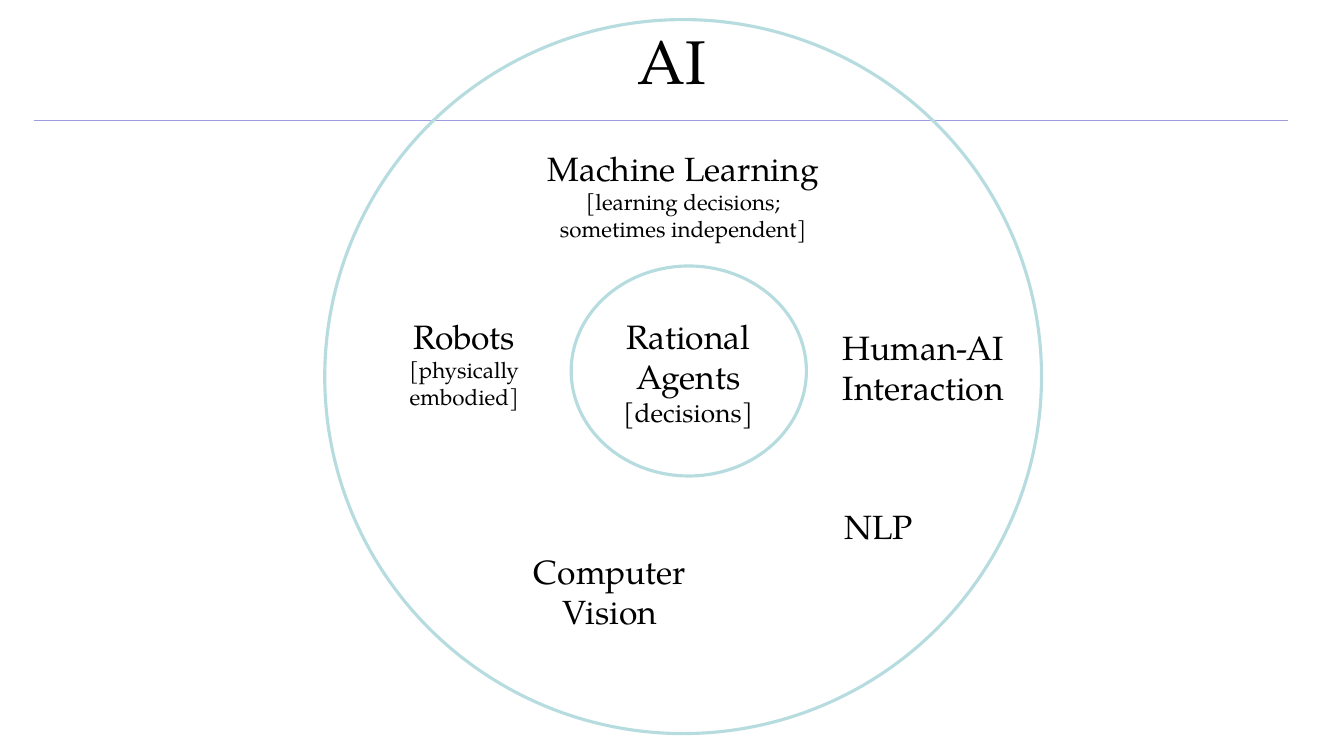
from dataclasses import dataclass

from lxml import etree
from pptx import Presentation
from pptx.dml.color import RGBColor
from pptx.enum.shapes import MSO_CONNECTOR, MSO_SHAPE
from pptx.enum.text import MSO_ANCHOR, MSO_AUTO_SIZE, PP_ALIGN
from pptx.oxml.ns import qn
from pptx.util import Inches, Pt

STRAIGHT = MSO_CONNECTOR.STRAIGHT
ELLIPSE = MSO_SHAPE.OVAL
CENTER = PP_ALIGN.CENTER
MIDDLE = MSO_ANCHOR.MIDDLE
TOP = MSO_ANCHOR.TOP
GROW = MSO_AUTO_SIZE.SHAPE_TO_FIT_TEXT
NO_AUTOFIT = MSO_AUTO_SIZE.NONE

TITLE_ONLY = 5
COLUMNS = 120
ROWS = 67.5
CELL = Inches(1 / 9)
TOPIC_WIDTH = 18.9


@dataclass(frozen=True)
class Theme:
    font: str = "TeX Gyre Pagella"
    ink: RGBColor = RGBColor(0x00, 0x00, 0x00)
    rule: RGBColor = RGBColor(0x9C, 0x9C, 0xDF)
    ring: RGBColor = RGBColor(0xB6, 0xDC, 0xDF)
    rule_width: float = 1
    ring_width: float = 2.25
    title: float = 44
    topic: float = 24
    core_note: float = 18.7
    note: float = 16


THEME = Theme()

# Column, row, width, height in grid cells.
RINGS = [
    (29, 1.75, 64, 63.75),
    (51, 23.75, 21, 18.75),
]

# Column, row, width, height in grid cells, then (text, size) per paragraph.
TOPICS = [
    (52, 27.75, TOPIC_WIDTH, 11, [
        ("Rational", THEME.topic),
        ("Agents", THEME.topic),
        ("[decisions]", THEME.core_note),
    ]),
    (32, 27.75, TOPIC_WIDTH, 9.4, [
        ("Robots", THEME.topic),
        ("[physically embodied]", THEME.note),
    ]),
    (47, 12.75, 28, 9.4, [
        ("Machine Learning", THEME.topic),
        ("[learning decisions; sometimes independent]", THEME.note),
    ]),
    (69, 44.75, TOPIC_WIDTH, 4.5, [("NLP", THEME.topic)]),
    (45, 48.75, TOPIC_WIDTH, 8.2, [("Computer Vision", THEME.topic)]),
    (73, 28.75, TOPIC_WIDTH, 8.2, [("Human-AI Interaction", THEME.topic)]),
]


def cells(*counts):
    """Turn grid cell counts into lengths."""
    return [round(count * CELL) for count in counts]


def write_lines(frame, lines):
    """Fill a text frame with one centred paragraph per (text, size) pair."""
    for index, (text, size) in enumerate(lines):
        para = frame.add_paragraph() if index else frame.paragraphs[0]
        para.alignment = CENTER
        span = para.add_run()
        span.text = text
        span.font.name = THEME.font
        span.font.size = Pt(size)
        span.font.color.rgb = THEME.ink


def add_rule(page, start, end, row):
    rule = page.shapes.add_connector(STRAIGHT, *cells(start, row, end, row))
    rule.line.color.rgb = THEME.rule
    rule.line.width = Pt(THEME.rule_width)
    etree.SubElement(rule._element.spPr, qn("a:effectLst"))


def set_title(page, text):
    title = page.shapes.title
    title.left, title.top, title.width, title.height = cells(
        0, -0.25, COLUMNS, 11.25)
    frame = title.text_frame
    frame.auto_size = NO_AUTOFIT
    frame.vertical_anchor = MIDDLE
    frame.margin_left = frame.margin_right = Inches(0.07)
    frame.margin_top = frame.margin_bottom = Inches(0.04)
    write_lines(frame, [(text, THEME.title)])


def add_ring(page, *place):
    ring = page.shapes.add_shape(ELLIPSE, *cells(*place))
    ring.shadow.inherit = False
    ring.fill.background()
    ring.line.color.rgb = THEME.ring
    ring.line.width = Pt(THEME.ring_width)


def add_topic(page, *place, lines):
    box = page.shapes.add_textbox(*cells(*place))
    frame = box.text_frame
    frame.word_wrap = True
    frame.auto_size = GROW
    frame.vertical_anchor = TOP
    write_lines(frame, lines)


def main():
    deck = Presentation()
    deck.slide_width, deck.slide_height = cells(COLUMNS, ROWS)
    page = deck.slides.add_slide(deck.slide_layouts[TITLE_ONLY])
    add_rule(page, 3, 115, 10.75)
    set_title(page, "AI")
    for place in RINGS:
        add_ring(page, *place)
    for *place, lines in TOPICS:
        add_topic(page, *place, lines=lines)
    deck.save("out.pptx")


if __name__ == "__main__":
    main()
